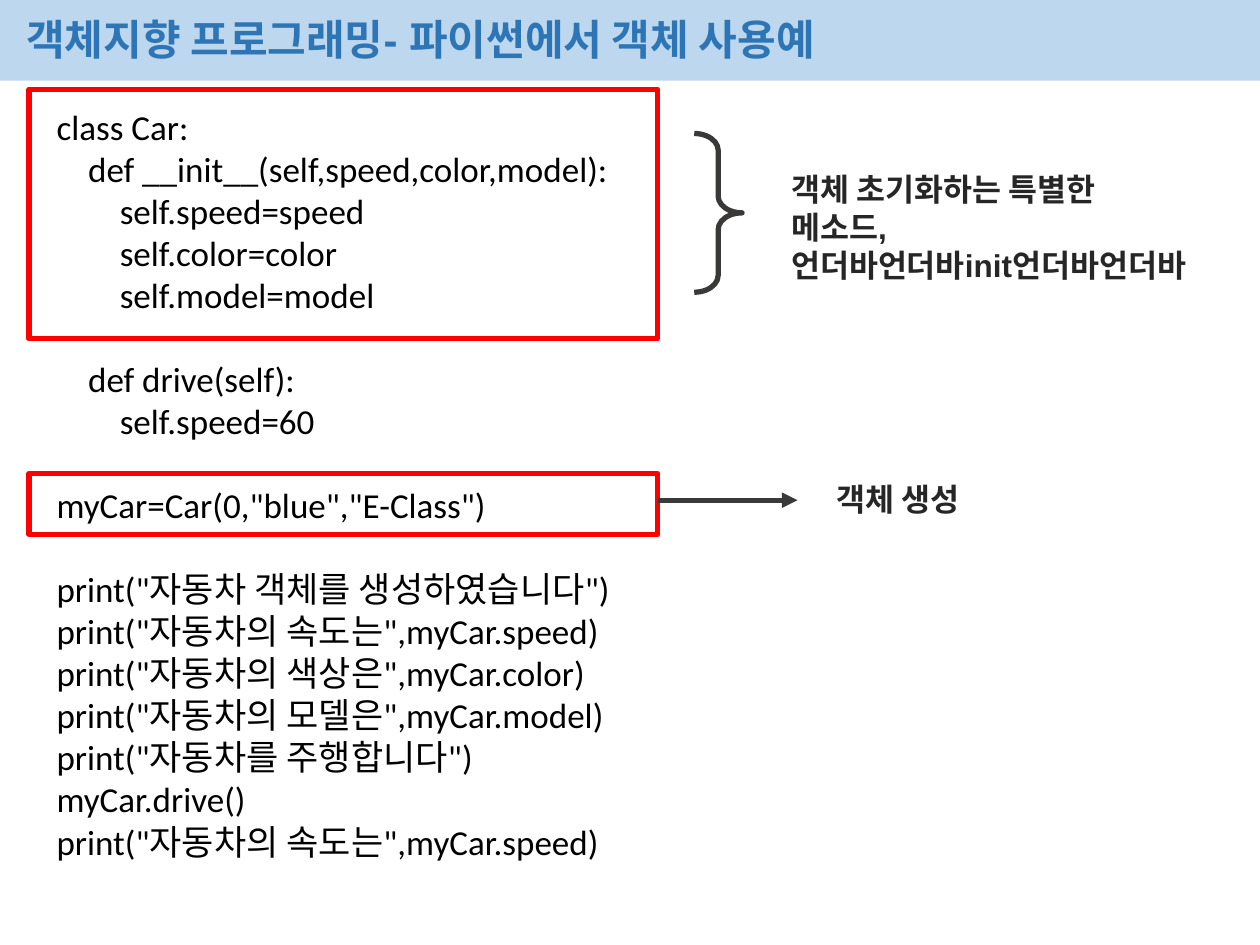
import dataclasses
import typing

import pptx
import pptx.dml.color
import pptx.enum.shapes
import pptx.enum.text
import pptx.oxml.xmlchemy
import pptx.util

RGBColor = pptx.dml.color.RGBColor
Kind = pptx.enum.shapes.MSO_SHAPE

SKY = RGBColor(0xBD, 0xD7, 0xEE)
BLUE = RGBColor(0x2E, 0x75, 0xB6)
RED = RGBColor(0xFF, 0x00, 0x00)
GRAY = RGBColor(0x3B, 0x38, 0x38)
DARK = RGBColor(0x26, 0x26, 0x26)
BLACK = RGBColor(0x00, 0x00, 0x00)

COLS, ROWS = 100, 75
CELL = pptx.util.Inches(10) // COLS

CODE = """class Car:
    def __init__(self,speed,color,model):
        self.speed=speed
        self.color=color
        self.model=model

    def drive(self):
        self.speed=60

myCar=Car(0,"blue","E-Class")

print("자동차 객체를 생성하였습니다")
print("자동차의 속도는",myCar.speed)
print("자동차의 색상은",myCar.color)
print("자동차의 모델은",myCar.model)
print("자동차를 주행합니다")
myCar.drive()
print("자동차의 속도는",myCar.speed)"""


@dataclasses.dataclass(frozen=True)
class Box:
    col: float
    row: float
    wide: float
    high: float

    def place(self) -> list[int]:
        return [grid(n) for n in (self.col, self.row, self.wide, self.high)]


@dataclasses.dataclass(frozen=True)
class Note:
    box: Box
    text: str


FRAMES = [Box(2.3, 7.1, 49.9, 19.8), Box(2.3, 37.6, 49.9, 4.8)]
NOTES = [
    Note(Box(61.8, 13, 36.2, 10.1),
         "객체 초기화하는 특별한\n메소드,\n언더바언더바init언더바언더바"),
    Note(Box(65.4, 37.6, 13, 4), "객체 생성"),
]


def grid(count: float) -> int:
    return round(count * CELL)


def add_form(slide: typing.Any, kind: typing.Any, box: Box,
             fill: typing.Optional[RGBColor] = None,
             line: typing.Optional[RGBColor] = None) -> typing.Any:
    form = slide.shapes.add_shape(kind, *box.place())
    form.shadow.inherit = False
    if fill is None:
        form.fill.background()
    else:
        form.fill.solid()
        form.fill.fore_color.rgb = fill
    if line is None:
        form.line.fill.background()
    else:
        form.line.color.rgb = line
        form.line.width = pptx.util.Pt(3)
    return form


def add_text(slide: typing.Any, box: Box, text: str, *, size: float,
             color: RGBColor, font: str = "Arial", bold: bool = True,
             wrap: bool = True) -> None:
    frame = slide.shapes.add_textbox(*box.place()).text_frame
    frame.word_wrap = wrap
    frame.auto_size = pptx.enum.text.MSO_AUTO_SIZE.SHAPE_TO_FIT_TEXT
    para = frame.paragraphs[0]
    for part, block in enumerate(text.split("\n\n")):
        for index, words in enumerate(block.split("\n")):
            if part or index:
                para = frame.add_paragraph()
            if part and not index:
                para.space_before = pptx.util.Pt(size * 1.2)
            run = para.add_run()
            run.text = words
            run.font.name = font
            run.font.size = pptx.util.Pt(size)
            run.font.bold = bold
            run.font.color.rgb = color


def add_arrow(slide: typing.Any, start: float, end: float, row: float) -> None:
    arrow = slide.shapes.add_connector(
        pptx.enum.shapes.MSO_CONNECTOR.STRAIGHT,
        grid(start), grid(row), grid(end), grid(row))
    arrow.line.color.rgb = GRAY
    arrow.line.width = pptx.util.Pt(3)
    make = pptx.oxml.xmlchemy.OxmlElement
    head = make("a:tailEnd")
    head.set("type", "triangle")
    props = arrow._element.spPr
    props.ln.append(head)
    props.append(make("a:effectLst"))


def main() -> None:
    deck = pptx.Presentation()
    deck.slide_width, deck.slide_height = COLS * CELL, ROWS * CELL
    slide = deck.slides.add_slide(deck.slide_layouts[6])

    add_form(slide, Kind.RECTANGLE, Box(0, 0, COLS, 6.4), fill=SKY)
    add_text(slide, Box(3.5, 7.9, 88.1, 61.6), CODE, size=20,
             color=BLACK, font="Calibri", bold=False)
    brace = add_form(slide, Kind.RIGHT_BRACE, Box(55.1, 10.6, 3.8, 12.6),
                     line=GRAY)
    brace.adjustments[0] = 0.35
    brace.adjustments[1] = 0.5
    for box in FRAMES:
        add_form(slide, Kind.RECTANGLE, box, line=RED)
    add_arrow(slide, 52.2, 63.3, 39.7)
    for note in NOTES:
        add_text(slide, note.box, note.text, size=18, color=DARK, wrap=False)
    add_text(slide, Box(1.1, 0.6, 80.9, 5),
             "객체지향 프로그래밍- 파이썬에서 객체 사용예", size=24, color=BLUE)
    deck.save("out.pptx")


if __name__ == "__main__":
    main()
